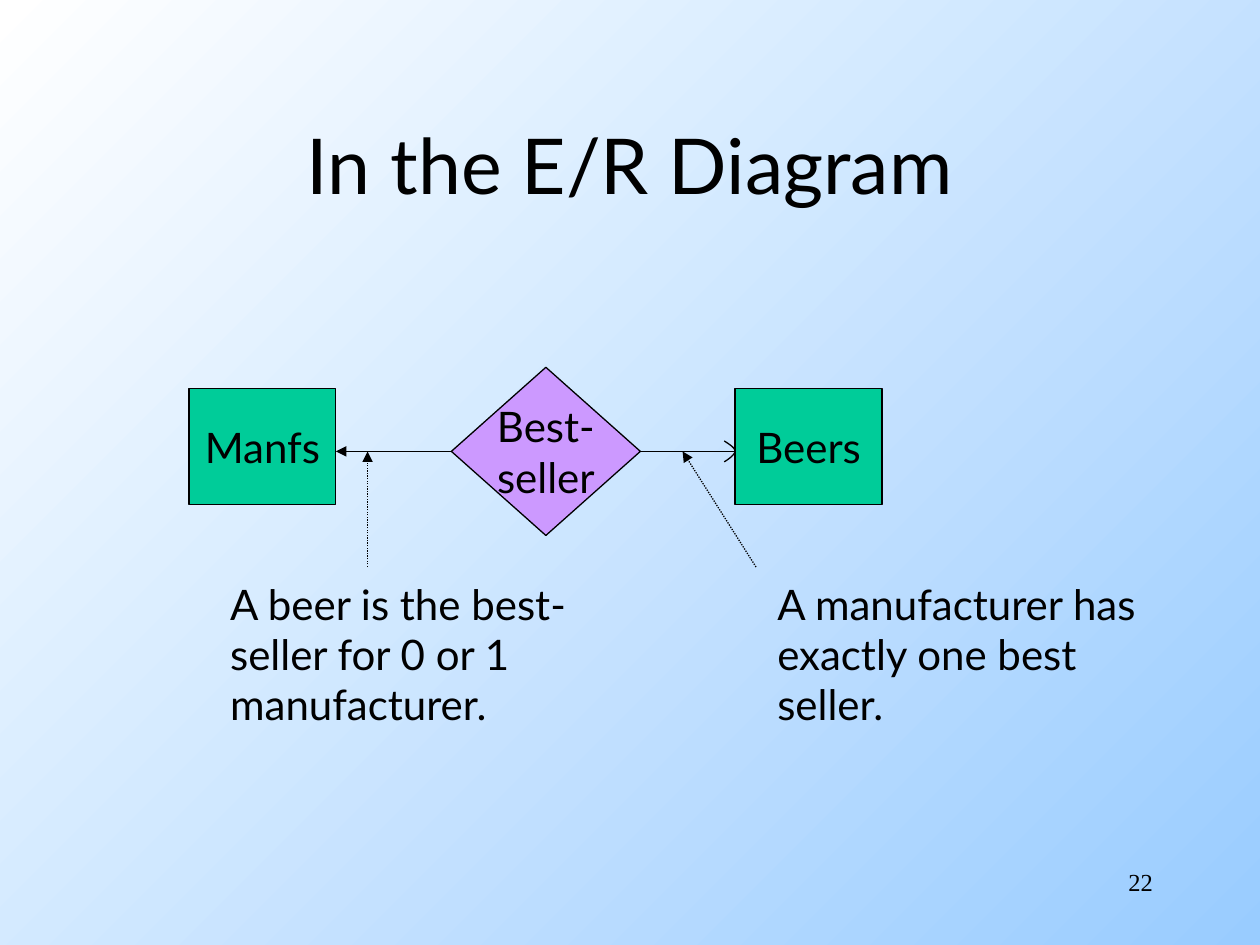
from lxml.etree import SubElement
from pptx import Presentation
from pptx.dml.color import RGBColor
from pptx.enum.dml import MSO_LINE as Dash
from pptx.enum.shapes import MSO_CONNECTOR as Link, MSO_SHAPE as Preset
from pptx.enum.text import MSO_ANCHOR as Anchor, PP_ALIGN as Align
from pptx.oxml.ns import qn
from pptx.util import Cm, Pt

BLACK = RGBColor(0x00, 0x00, 0x00)
WHITE = RGBColor(0xFF, 0xFF, 0xFF)
SKY = RGBColor(0x99, 0xCC, 0xFF)
GREEN = RGBColor(0x00, 0xCC, 0x99)
VIOLET = RGBColor(0xCC, 0x99, 0xFF)

TITLE = "In the E/R Diagram"
PAGE_NUMBER = "22"
AXIS = 9.1
ENTITY = (Preset.RECTANGLE, GREEN, 2.96, 2.33)
RELATIONSHIP = (Preset.DIAMOND, VIOLET, 3.81, 3.39)
NODES = [
    (["Manfs"], 3.81, ENTITY),
    (["Beers"], 14.82, ENTITY),
    (["Best-", "seller"], 9.1, RELATIONSHIP),
]
NOTES = [
    (["A beer is the best-", "seller for 0 or 1", "manufacturer."], 4.39, 7.39),
    (["A manufacturer has", "exactly one best", "seller."], 15.42, 7.85),
]
LINKS = [
    ((12.91, AXIS), (14.82, AXIS), False, None),
    ((9.1, AXIS), (6.77, AXIS), True, None),
    ((15.24, 11.43), (13.76, AXIS), True, Dash.ROUND_DOT),
    ((7.41, 11.43), (7.41, AXIS), True, Dash.ROUND_DOT),
]
ROUND_HEAD = [
    ((14.6, 8.89), (14.71, 8.96), (14.82, 9.03), (14.82, 9.1)),
    ((14.82, 9.1), (14.82, 9.17), (14.63, 9.3), (14.6, 9.31)),
]
CURVE_STEPS = 8

LATO = {"name": "Lato", "size": Pt(24)}
LATO_TITLE = {"name": "Lato", "size": Pt(44)}
TIMES = {"name": "Times New Roman", "size": Pt(14)}


def write(shape, lines, font, align, anchor=Anchor.TOP, wrap=False):
    frame = shape.text_frame
    frame.word_wrap = wrap
    frame.vertical_anchor = anchor
    for index, line in enumerate(lines):
        para = frame.add_paragraph() if index else frame.paragraphs[0]
        para.alignment = align
        span = para.add_run()
        span.text = line
        for key, value in font.items():
            setattr(span.font, key, value)
        span.font.color.rgb = BLACK


def outline(shape):
    shape.line.color.rgb = BLACK
    shape.line.width = Pt(0.75)


def bezier(points, t):
    weights = ((1 - t) ** 3, 3 * t * (1 - t) ** 2, 3 * t ** 2 * (1 - t), t ** 3)
    return tuple(
        Cm(sum(w * point[axis] for w, point in zip(weights, points)))
        for axis in (0, 1)
    )


deck = Presentation()
deck.slide_width, deck.slide_height = Cm(25.4), Cm(19.05)
page = deck.slides.add_slide(deck.slide_layouts[5])
shapes = page.shapes

backdrop = page.background.fill
backdrop.gradient()
backdrop.gradient_angle = 315
for stop, color in zip(backdrop.gradient_stops, (WHITE, SKY)):
    stop.color.rgb = color

title = shapes.title
place = {"left": 1.9, "top": 1.7, "width": 21.6, "height": 3.18}
for side, length in place.items():
    setattr(title, side, Cm(length))
write(title, [TITLE], LATO_TITLE, Align.CENTER, Anchor.MIDDLE, True)

number = shapes.add_textbox(Cm(18.2), Cm(17.35), Cm(5.29), Cm(1.27))
write(number, [PAGE_NUMBER], TIMES, Align.RIGHT, wrap=True)

for lines, left, (preset, color, width, height) in NODES:
    top = AXIS - height / 2
    if preset == Preset.RECTANGLE:
        top -= 0.1
    node = shapes.add_shape(preset, Cm(left), Cm(top), Cm(width), Cm(height))
    node.shadow.inherit = False
    node.fill.solid()
    node.fill.fore_color.rgb = color
    outline(node)
    write(node, lines, LATO, Align.CENTER, Anchor.MIDDLE)

for start, end, arrow, dash in LINKS:
    link = shapes.add_connector(Link.STRAIGHT, *map(Cm, start + end))
    outline(link)
    if dash:
        link.line.dash_style = dash
    if arrow:
        SubElement(link.line._get_or_add_ln(), qn("a:tailEnd"), type="triangle")
    SubElement(link._element.spPr, qn("a:effectLst"))

curve = [
    bezier(points, step / CURVE_STEPS)
    for points in ROUND_HEAD
    for step in range(CURVE_STEPS + 1)
]
builder = shapes.build_freeform(*curve[0])
builder.add_line_segments(curve[1:], close=False)
head = builder.convert_to_shape()
head.shadow.inherit = False
head.fill.background()
outline(head)

for lines, left, width in NOTES:
    note = shapes.add_textbox(Cm(left), Cm(11.53), Cm(width), Cm(3.3))
    write(note, lines, LATO, Align.LEFT)

deck.save("out.pptx")
